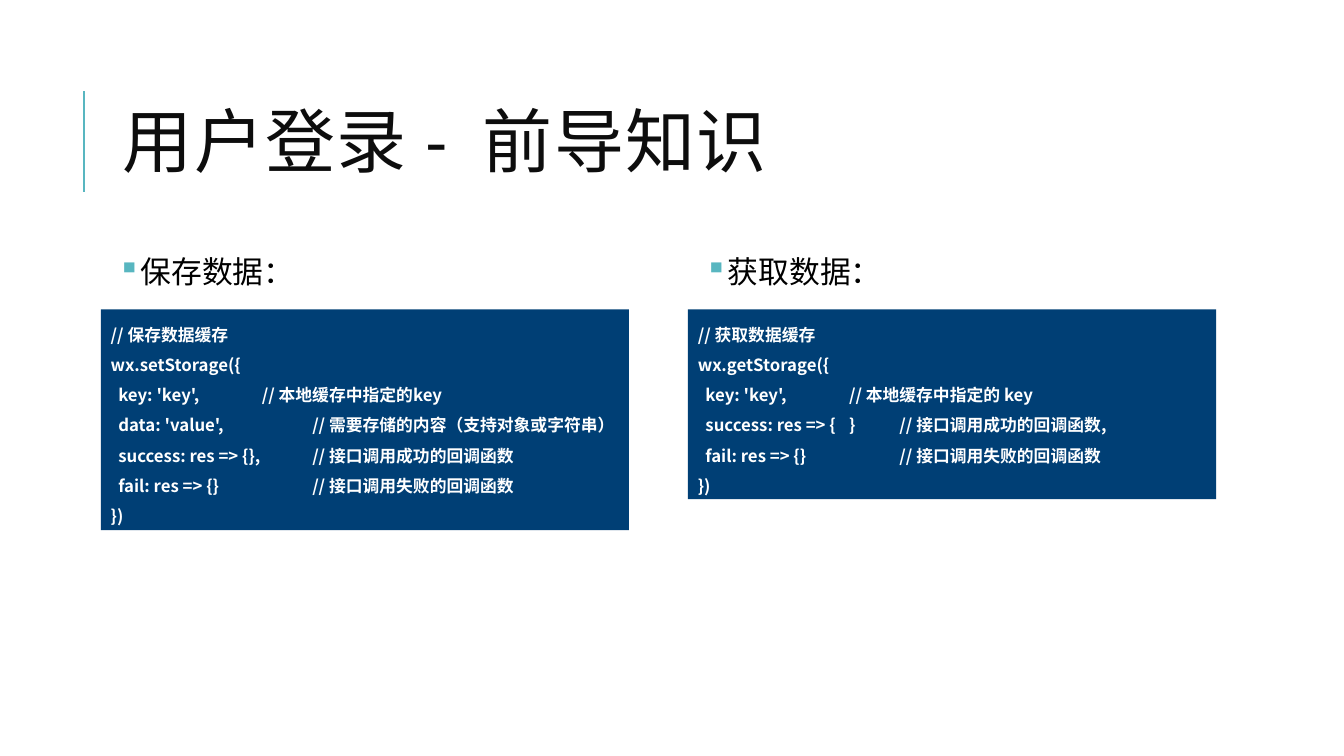
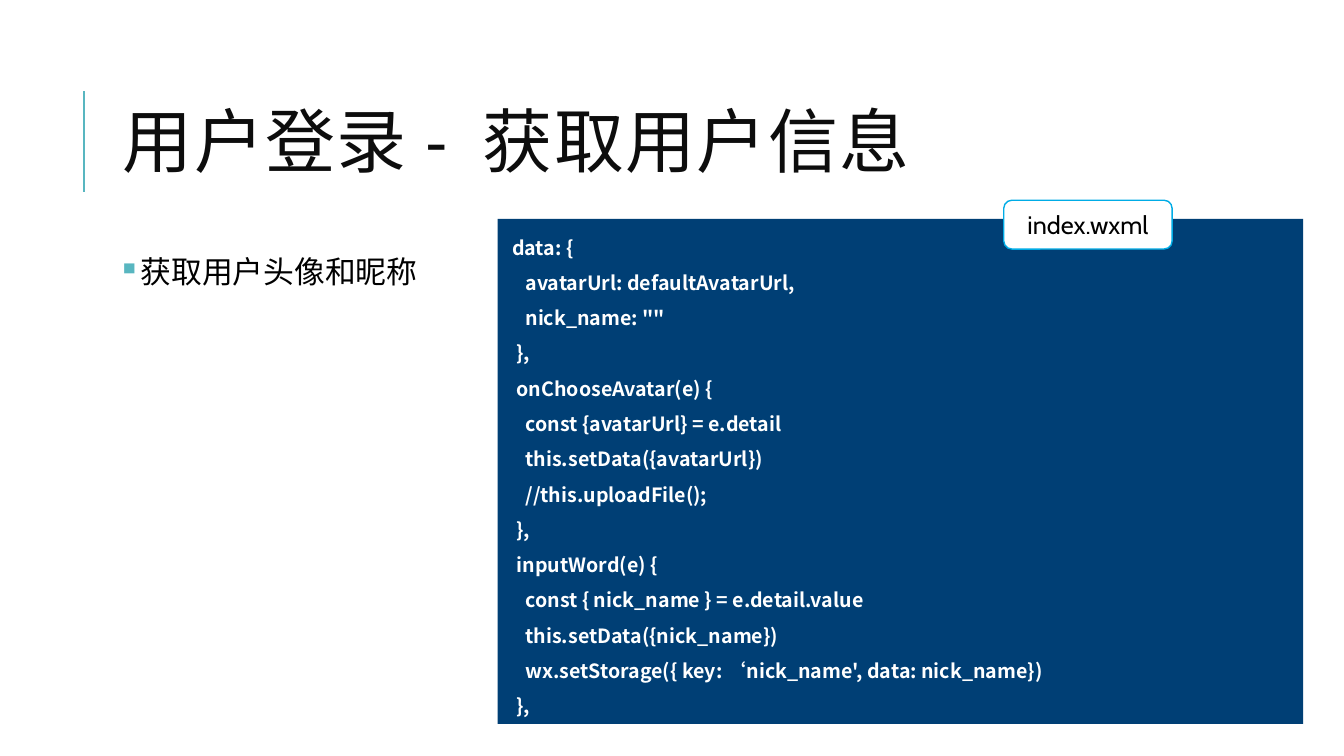
from dataclasses import dataclass

from lxml.etree import SubElement
from pptx import Presentation
from pptx.dml.color import RGBColor
from pptx.enum.shapes import MSO_CONNECTOR, MSO_SHAPE
from pptx.enum.text import MSO_ANCHOR, MSO_AUTO_SIZE, PP_ALIGN
from pptx.oxml.ns import qn
from pptx.util import Pt

COLORS = {
    "accent": "58B6C0",
    "title": "0D0D0D",
    "text": "000000",
    "code_bg": "003F75",
    "white": "FFFFFF",
    "tag_line": "00ACE6",
}
TITLE_FONT, BODY_FONT, CODE_FONT = "Calibri", "Cabin", "Noto Sans CJK SC"
COMMENT_TABS = (108, 144)


@dataclass(frozen=True)
class Box:
    left: float
    top: float
    width: float
    height: float

    def lengths(self) -> tuple:
        return Pt(self.left), Pt(self.top), Pt(self.width), Pt(self.height)


@dataclass(frozen=True)
class Bullet:
    box: Box
    text: str


@dataclass(frozen=True)
class Code:
    box: Box
    size: float
    lines: str


@dataclass(frozen=True)
class Tag:
    box: Box
    text: str


@dataclass(frozen=True)
class Page:
    title: str
    bullets: tuple[Bullet, ...]
    codes: tuple[Code, ...]
    tags: tuple[Tag, ...] = ()


TITLE_BOX = Box(80.6, 46, 765.4, 118)
BULLET_LEFT, BULLET_TOP = 80.6, 180
CODE_LEFT, CODE_TOP, CODE_WIDTH = 72, 221, 377.3
COLUMN_STEP = 419.4

SAVE_CODE = """// 保存数据缓存
wx.setStorage({
  key: 'key',\t// 本地缓存中指定的key
  data: 'value',\t\t// 需要存储的内容（支持对象或字符串）
  success: res => {},\t\t// 接口调用成功的回调函数
  fail: res => {}\t\t// 接口调用失败的回调函数
})"""

LOAD_CODE = """// 获取数据缓存
wx.getStorage({
  key: 'key',\t// 本地缓存中指定的 key
  success: res => {\t}\t// 接口调用成功的回调函数,
  fail: res => {}\t\t// 接口调用失败的回调函数
})"""

USER_CODE = """ data: {
    avatarUrl: defaultAvatarUrl,
    nick_name: ""
  },
  onChooseAvatar(e) {
    const {avatarUrl} = e.detail
    this.setData({avatarUrl})
    //this.uploadFile();
  },
  inputWord(e) {
    const { nick_name } = e.detail.value
    this.setData({nick_name})
    wx.setStorage({ key: ‘nick_name', data: nick_name})
  },"""

COLUMNS = (("保存数据：", SAVE_CODE, 157.7), ("获取数据：", LOAD_CODE, 135.6))

PAGES = (
    Page(
        "用户登录 -  前导知识",
        tuple(
            Bullet(Box(BULLET_LEFT + i * COLUMN_STEP, BULLET_TOP, 319, 41), label)
            for i, (label, _, _) in enumerate(COLUMNS)
        ),
        tuple(
            Code(Box(CODE_LEFT + i * COLUMN_STEP, CODE_TOP, CODE_WIDTH, height), 12, code)
            for i, (_, code, height) in enumerate(COLUMNS)
        ),
    ),
    Page(
        "用户登录 -  获取用户信息",
        (Bullet(Box(BULLET_LEFT, BULLET_TOP, 465, 325.4), "获取用户头像和昵称"),),
        (Code(Box(355.5, 156.3, 575.3, 360.7), 14, USER_CODE),),
        (Tag(Box(717, 143, 120.3, 34.9), "index.wxml"),),
    ),
)


def rgb(name: str) -> RGBColor:
    return RGBColor.from_string(COLORS[name])


def add_run(p, text: str, font: str, size: float, color: str, bold: bool = False):
    r = p.add_run()
    r.text = text
    r.font.name, r.font.size, r.font.bold = font, Pt(size), bold
    r.font.color.rgb = rgb(color)
    return r


def add_textbox(s, box: Box):
    tf = s.shapes.add_textbox(*box.lengths()).text_frame
    tf.word_wrap = True
    return tf


def add_filled(s, kind, box: Box, fill: str, line: str | None = None):
    sp = s.shapes.add_shape(kind, *box.lengths())
    sp.shadow.inherit = False
    sp.fill.solid()
    sp.fill.fore_color.rgb = rgb(fill)
    if line:
        sp.line.color.rgb = rgb(line)
        sp.line.width = Pt(1)
    else:
        sp.line.fill.background()
    sp.text_frame.word_wrap = True
    return sp


def add_title(s, title: str) -> None:
    """Draw the accent rule and the title beside it."""
    rule = s.shapes.add_connector(MSO_CONNECTOR.STRAIGHT, Pt(60), Pt(137), Pt(60), Pt(65))
    rule.line.color.rgb = rgb("accent")
    rule.line.width = Pt(1.5)
    SubElement(rule._element.spPr, qn("a:effectLst"))

    tf = add_textbox(s, TITLE_BOX)
    tf.vertical_anchor = MSO_ANCHOR.MIDDLE
    p = tf.paragraphs[0]
    p.line_spacing = 0.8
    r = add_run(p, title, TITLE_FONT, 50, "title")
    r.font._element.set("spc", "100")


def add_bullet(s, bullet: Bullet) -> None:
    tf = add_textbox(s, bullet.box)
    tf.margin_left = tf.margin_right = tf.margin_top = tf.margin_bottom = Pt(3.6)
    p = tf.paragraphs[0]
    p.line_spacing, p.space_before, p.space_after = 0.9, Pt(12), Pt(2)
    pPr = p._p.get_or_add_pPr()
    pPr.set("marL", str(Pt(7.2)))
    pPr.set("indent", str(-Pt(7.2)))
    color = SubElement(pPr, qn("a:buClr"))
    SubElement(color, qn("a:srgbClr"), val=COLORS["accent"])
    SubElement(pPr, qn("a:buChar"), char="▪")
    add_run(p, bullet.text, BODY_FONT, 22, "text")


def set_tabs(p, stops: tuple[float, ...]) -> None:
    tabs = SubElement(p._p.get_or_add_pPr(), qn("a:tabLst"))
    for stop in stops:
        SubElement(tabs, qn("a:tab"), pos=str(Pt(stop)), algn="l")


def add_code(s, code: Code) -> None:
    tf = add_filled(s, MSO_SHAPE.RECTANGLE, code.box, "code_bg").text_frame
    tf.vertical_anchor = MSO_ANCHOR.TOP
    tf.auto_size = MSO_AUTO_SIZE.SHAPE_TO_FIT_TEXT
    for i, line in enumerate(code.lines.splitlines()):
        p = tf.add_paragraph() if i else tf.paragraphs[0]
        p.alignment = PP_ALIGN.LEFT
        p.line_spacing = 1.5
        if "\t" in line:
            set_tabs(p, COMMENT_TABS)
        r = add_run(p, line, CODE_FONT, code.size, "white", bold=True)
        SubElement(r.font._element, qn("a:ea"), typeface=CODE_FONT)


def add_tag(s, tag: Tag) -> None:
    sp = add_filled(s, MSO_SHAPE.ROUNDED_RECTANGLE, tag.box, "white", "tag_line")
    tf = sp.text_frame
    tf.vertical_anchor = MSO_ANCHOR.MIDDLE
    p = tf.paragraphs[0]
    p.alignment = PP_ALIGN.CENTER
    add_run(p, tag.text, BODY_FONT, 18, "text")


def add_page(prs, page: Page) -> None:
    s = prs.slides.add_slide(prs.slide_layouts[6])
    add_title(s, page.title)
    for bullet in page.bullets:
        add_bullet(s, bullet)
    for code in page.codes:
        add_code(s, code)
    for tag in page.tags:
        add_tag(s, tag)


def main() -> None:
    prs = Presentation()
    prs.slide_width, prs.slide_height = Pt(960), Pt(540)
    for page in PAGES:
        add_page(prs, page)
    prs.save("out.pptx")


if __name__ == "__main__":
    main()
